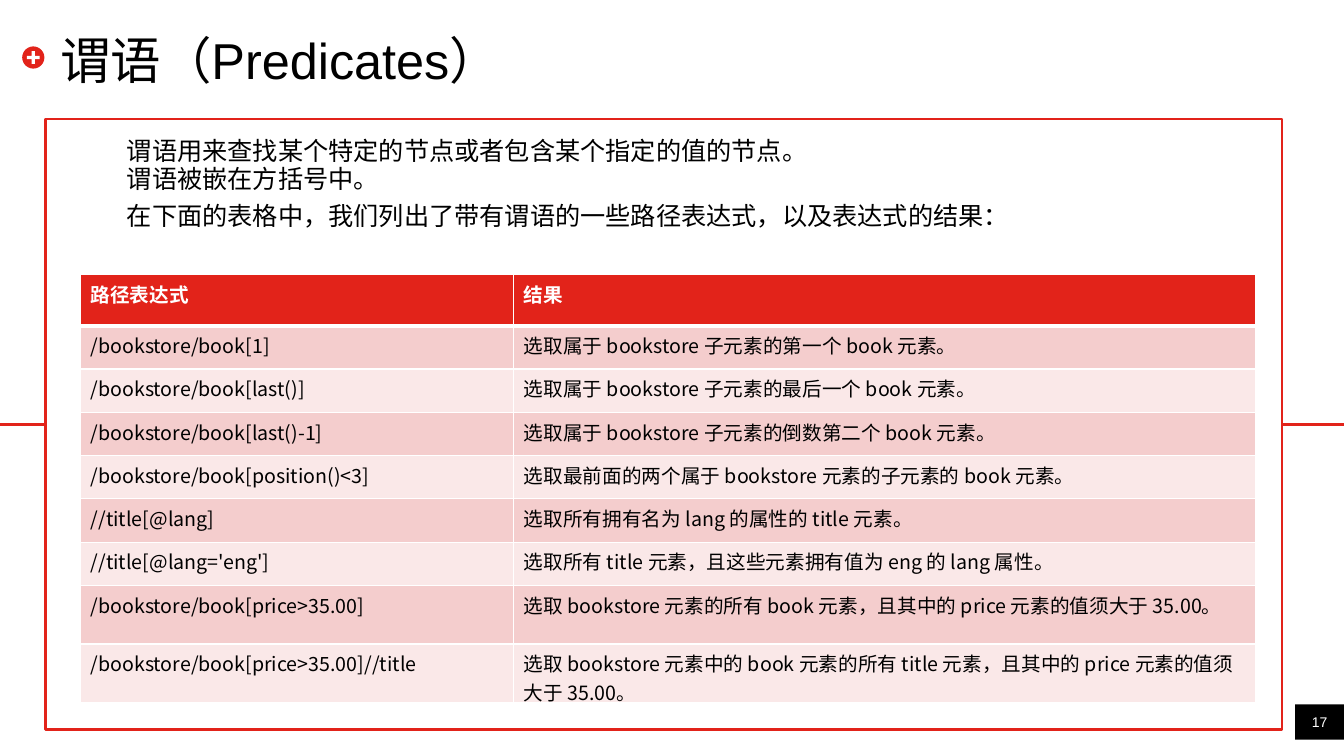
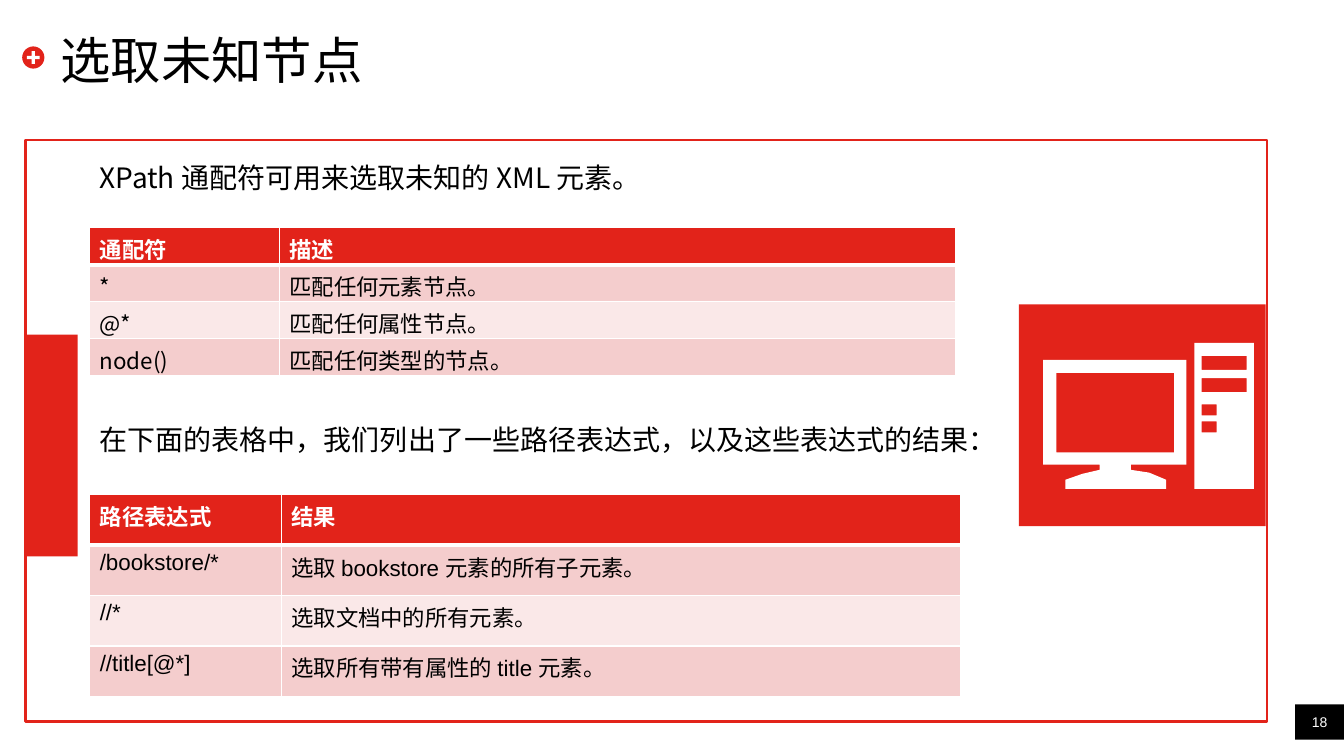
from lxml import etree
from pptx import Presentation
from pptx.dml.color import RGBColor
from pptx.enum import shapes, text
from pptx.oxml import ns
from pptx.util import Cm, Pt

RED, BLACK, WHITE = "E2231A", "000000", "FFFFFF"
BANDS = ("F4CDCD", "FAE8E8")
LATIN, CHINESE = "Arial", "Noto Sans CJK SC"
SLIDE_WIDTH, SLIDE_HEIGHT = 33.87, 19.05

PREDICATES = [
    ("路径表达式", "结果"),
    ("/bookstore/book[1]", "选取属于 bookstore 子元素的第一个 book 元素。"),
    ("/bookstore/book[last()]", "选取属于 bookstore 子元素的最后一个 book 元素。"),
    ("/bookstore/book[last()-1]", "选取属于 bookstore 子元素的倒数第二个 book 元素。"),
    ("/bookstore/book[position()<3]", "选取最前面的两个属于 bookstore 元素的子元素的 book 元素。"),
    ("//title[@lang]", "选取所有拥有名为 lang 的属性的 title 元素。"),
    ("//title[@lang='eng']", "选取所有 title 元素，且这些元素拥有值为 eng 的 lang 属性。"),
    ("/bookstore/book[price>35.00]",
     "选取 bookstore 元素的所有 book 元素，且其中的 price 元素的值须大于 35.00。"),
    ("/bookstore/book[price>35.00]//title",
     "选取 bookstore 元素中的 book 元素的所有 title 元素，且其中的 price 元素的值须大于 35.00。"),
]
WILDCARDS = [
    ("通配符", "描述"),
    ("*", "匹配任何元素节点。"),
    ("@*", "匹配任何属性节点。"),
    ("node()", "匹配任何类型的节点。"),
]
WILDCARD_PATHS = [
    ("路径表达式", "结果"),
    ("/bookstore/*", "选取 bookstore 元素的所有子元素。"),
    ("//*", "选取文档中的所有元素。"),
    ("//title[@*]", "选取所有带有属性的 title 元素。"),
]


def rgb(value):
    return RGBColor.from_string(value)


def box(left, top, right, bottom):
    """Corner points of a rectangular contour."""
    return [(left, top), (right, top), (right, bottom), (left, bottom)]


class Deck:
    def __init__(self):
        self.presentation = Presentation()
        self.presentation.slide_width = Cm(SLIDE_WIDTH)
        self.presentation.slide_height = Cm(SLIDE_HEIGHT)
        self.slide = None

    def new_slide(self, title, number):
        """Start a slide with its title, badge and page number."""
        layout = self.presentation.slide_layouts[6]
        self.slide = self.presentation.slides.add_slide(layout)
        corner = self.shape(32.64, 17.75, 1.23, 0.89, fill=BLACK)
        self.set_lines(corner.text_frame, [str(number)], 10, color=WHITE, inset=0)
        corner.text_frame.vertical_anchor = text.MSO_ANCHOR.MIDDLE
        corner.text_frame.paragraphs[0].alignment = text.PP_ALIGN.CENTER
        self.shape(0.56, 1.17, 0.56, 0.56, fill=RED, kind=shapes.MSO_SHAPE.OVAL)
        plus = self.shape(0.68, 1.29, 0.32, 0.32, fill=WHITE, kind=shapes.MSO_SHAPE.CROSS)
        plus.adjustments[0] = 0.38
        heading = self.slide.shapes.add_textbox(Cm(1.52), Cm(0.76), Cm(30.76), Cm(1.45))
        self.set_lines(heading.text_frame, [title], 36, inset=0)
        heading.text_frame.vertical_anchor = text.MSO_ANCHOR.MIDDLE

    def paint(self, shape, fill, line=None):
        shape.shadow.inherit = False
        if fill:
            shape.fill.solid()
            shape.fill.fore_color.rgb = rgb(fill)
        else:
            shape.fill.background()
        if line:
            shape.line.color.rgb = rgb(line)
            shape.line.width = Pt(2)
        else:
            shape.line.fill.background()

    def shape(self, left, top, width, height, fill=None, line=None,
              kind=shapes.MSO_SHAPE.RECTANGLE):
        shape = self.slide.shapes.add_shape(kind, Cm(left), Cm(top), Cm(width), Cm(height))
        self.paint(shape, fill, line)
        return shape

    def outline(self, contours, fill):
        """Filled freeform; contours inside others become holes."""
        points = [[(Cm(x), Cm(y)) for x, y in contour] for contour in contours]
        builder = self.slide.shapes.build_freeform(*points[0][0])
        builder.add_line_segments(points[0][1:])
        for contour in points[1:]:
            builder.move_to(*contour[0])
            builder.add_line_segments(contour[1:])
        self.paint(builder.convert_to_shape(), fill)

    def side_line(self, frame, side, end_x):
        """Level line from the middle of a frame's side to end_x."""
        middle = frame.top + frame.height // 2
        line = self.slide.shapes.add_connector(
            shapes.MSO_CONNECTOR.STRAIGHT, frame.left, middle, Cm(end_x), middle)
        line.begin_connect(frame, side)
        line.line.color.rgb = rgb(RED)
        line.line.width = Pt(2)
        etree.SubElement(line._element.spPr, ns.qn("a:effectLst"))

    def style(self, paragraph, size, color, font=LATIN, bold=False):
        paragraph.font.size = Pt(size)
        paragraph.font.bold = bold
        paragraph.font.color.rgb = rgb(color)
        paragraph.font.name = font
        properties = paragraph._p.pPr.find(ns.qn("a:defRPr"))
        etree.SubElement(properties, ns.qn("a:ea"), typeface=CHINESE)

    def set_lines(self, frame, lines, size, color=BLACK, font=LATIN, inset=None):
        frame.word_wrap = True
        if inset is not None:
            frame.margin_left = frame.margin_right = Cm(inset)
            frame.margin_top = frame.margin_bottom = Cm(inset)
        for index, line in enumerate(lines):
            paragraph = frame.add_paragraph() if index else frame.paragraphs[0]
            paragraph.text = line
            self.style(paragraph, size, color, font)

    def body(self, left, top, width, height, lines, size, font=LATIN):
        textbox = self.slide.shapes.add_textbox(Cm(left), Cm(top), Cm(width), Cm(height))
        self.set_lines(textbox.text_frame, lines, size, font=font)
        for paragraph in textbox.text_frame.paragraphs:
            paragraph.line_spacing = 0.9
        return textbox.text_frame.paragraphs

    def border(self, cell, edge, points):
        line = etree.SubElement(cell._tc.get_or_add_tcPr(), ns.qn("a:ln" + edge),
                                w=str(int(Pt(points))))
        fill = etree.SubElement(line, ns.qn("a:solidFill"))
        etree.SubElement(fill, ns.qn("a:srgbClr"), val=WHITE)

    def table(self, left, top, widths, heights, rows, size, font=CHINESE):
        table = self.slide.shapes.add_table(
            len(rows), len(widths), Cm(left), Cm(top),
            Cm(sum(widths)), Cm(sum(heights))).table
        for column, width in zip(table.columns, widths):
            column.width = Cm(width)
        for row, height in zip(table.rows, heights):
            row.height = Cm(height)
        for row_index, row in enumerate(rows):
            header = row_index == 0
            for column_index, content in enumerate(row):
                cell = table.cell(row_index, column_index)
                cell.margin_bottom = 0
                for edge in "LRTB":
                    below_header = edge == "T" and row_index == 1
                    thick = below_header or (edge == "B" and header)
                    self.border(cell, edge, 3 if thick else 1)
                cell.fill.solid()
                cell.fill.fore_color.rgb = rgb(RED if header else BANDS[(row_index - 1) % 2])
                paragraph = cell.text_frame.paragraphs[0]
                paragraph.text = content
                self.style(paragraph, size, WHITE if header else BLACK, font, header)

    def computer(self):
        monitor = [
            (26.29, 9.07), (29.9, 9.07), (29.9, 11.71), (28.5, 11.71), (28.5, 11.84),
            (28.96, 11.91), (29.39, 12.09), (29.39, 12.32), (26.85, 12.32),
            (26.85, 12.09), (27.28, 11.94), (27.71, 11.84), (27.71, 11.71), (26.29, 11.71),
        ]
        self.outline([monitor, box(26.62, 9.4, 29.59, 11.4)], WHITE)
        drives = [box(30.28, top, 31.42, top + 0.35) for top in (8.97, 9.53)]
        buttons = [box(30.28, top, 30.66, top + 0.28) for top in (10.19, 10.62)]
        self.outline([box(30.1, 8.64, 31.6, 12.32)] + drives + buttons, WHITE)


def predicates_slide(deck):
    deck.new_slide("谓语（Predicates）", 17)
    frame = deck.shape(1.14, 3, 31.17, 15.39, line=RED)
    deck.side_line(frame, 3, SLIDE_WIDTH)
    deck.side_line(frame, 1, 0)
    paragraphs = deck.body(2.95, 3.38, 25.83, 3.07, [
        "谓语用来查找某个特定的节点或者包含某个指定的值的节点。",
        "谓语被嵌在方括号中。",
        "在下面的表格中，我们列出了带有谓语的一些路径表达式，以及表达式的结果：",
    ], 18)
    paragraphs[-1].space_before = Pt(7)
    heights = [1.3] + [1.09] * 6 + [1.48] * 2
    deck.table(2.03, 6.91, (10.92, 18.69), heights, PREDICATES, 14)


def unknown_nodes_slide(deck):
    deck.new_slide("选取未知节点", 18)
    deck.shape(0.66, 8.43, 1.3, 5.59, fill=RED)
    deck.shape(0.64, 3.53, 31.29, 14.66, line=RED)
    deck.shape(25.68, 7.67, 6.22, 5.59, fill=RED)
    deck.computer()
    deck.body(2.26, 4.01, 17.35, 1.12,
              ["XPath 通配符可用来选取未知的 XML 元素。"], 20, CHINESE)
    deck.table(2.26, 5.74, (4.78, 17.04), [0.93] * 4, WILDCARDS, 16)
    deck.body(2.26, 10.62, 23.2, 1.12,
              ["在下面的表格中，我们列出了一些路径表达式，以及这些表达式的结果："], 20, CHINESE)
    deck.table(2.26, 12.47, (4.83, 17.12), [1.27] * 4, WILDCARD_PATHS, 16, LATIN)


def main():
    deck = Deck()
    predicates_slide(deck)
    unknown_nodes_slide(deck)
    deck.presentation.save("out.pptx")


if __name__ == "__main__":
    main()
